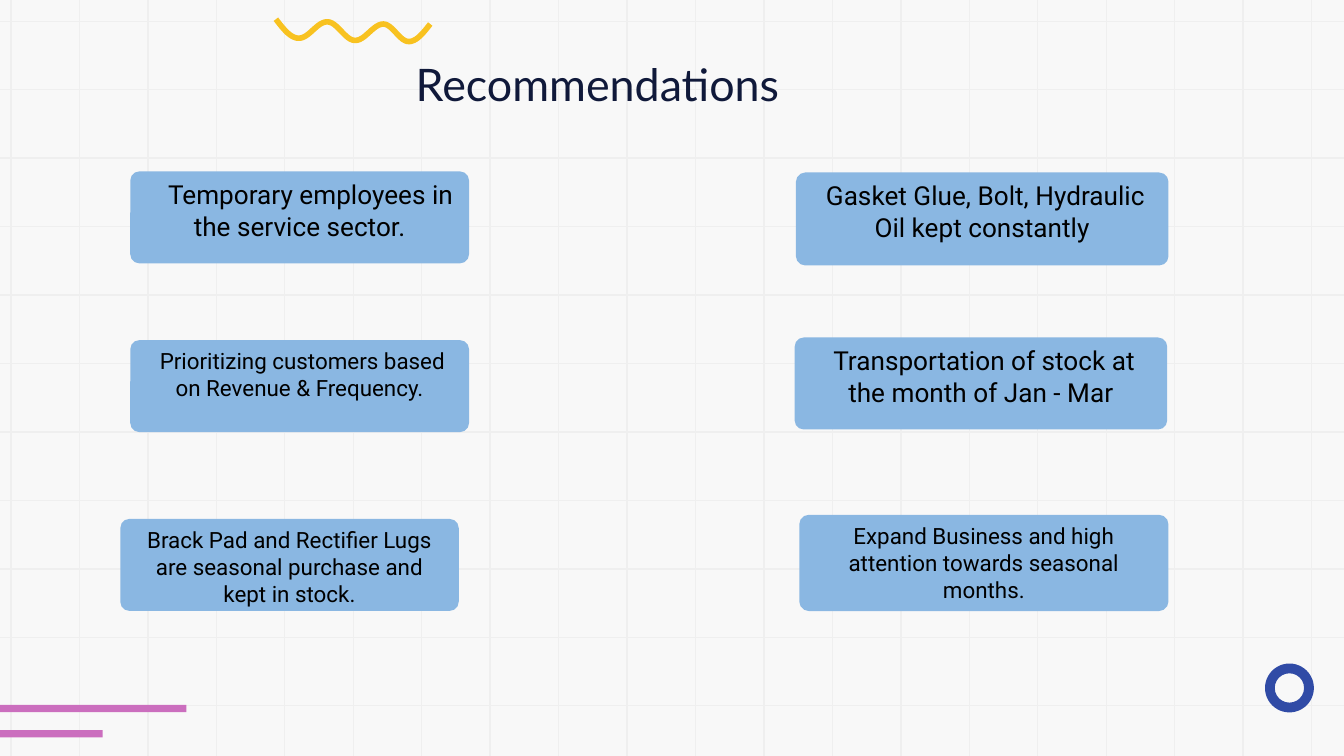
import math
from lxml import etree
from pptx import Presentation
from pptx.dml.color import RGBColor
from pptx.enum import shapes, text
from pptx.oxml import ns
from pptx.util import Pt

HUES = {"page": "F8F8F8", "grid": "EFEFEF", "pink": "CB6EBE", "blue": "304BA6",
        "gold": "F8C220", "title": "10193A", "card": "8AB7E2", "ink": "000000"}
WIDE, HIGH = 720, 405
KIND = shapes.MSO_SHAPE

# left, top, width, height, text size, first-line indent, wording
CARDS = [
    (69.8, 91.8, 181.5, 49.3, 14, 11.7, "Temporary employees in the service sector."),
    (426.4, 92.4, 199.6, 49.8, 14, 3.5, "Gasket Glue, Bolt, Hydraulic Oil kept constantly"),
    (69.8, 182.2, 181.5, 49.3, 12, 3, "Prioritizing customers based on Revenue & Frequency."),
    (425.7, 180.8, 199.6, 49.3, 14, 3.5, "Transportation of stock at the month of Jan - Mar"),
    (64.5, 278, 181.3, 49.3, 12, 0,
     "Brack Pad and Rectifier Lugs are seasonal purchase and kept in stock."),
    (428.2, 275.8, 197.8, 51.6, 12, 0,
     "Expand Business and high attention towards seasonal months."),
]


def hue(name):
    return RGBColor.from_string(HUES[name])


def plain(slide, kind, box, name):
    """Add a preset shape with a flat fill and no outline."""
    shape = slide.shapes.add_shape(kind, *map(Pt, box))
    shape.shadow.inherit = False
    shape.fill.solid()
    shape.fill.fore_color.rgb = hue(name)
    shape.line.fill.background()
    return shape


def rule(slide, *ends):
    line = slide.shapes.add_connector(shapes.MSO_CONNECTOR.STRAIGHT, *map(Pt, ends))
    line.line.color.rgb = hue("grid")
    line.line.width = Pt(0.75)
    etree.SubElement(line._element.spPr, ns.qn("a:effectLst"))


def grid(slide, left, top, step):
    for row in range(11):
        y = top + row * step
        rule(slide, 0, y, WIDE, y)
    for col in range(20):
        x = left + col * step
        rule(slide, x, 0, x, HIGH)


def wave(slide, left, top):
    """Draw a wavy stroke that eases between its turning points."""
    turns = [(0, 0), (12.3, 10.2), (27.5, 1.4), (42.5, 11.4),
             (57.6, 2.6), (71.2, 12), (82.7, 2.6)]
    last = len(turns) - 2
    dots = [turns[0]]
    for k, ((ax, ay), (bx, by)) in enumerate(zip(turns, turns[1:])):
        for n in range(1, 13):
            t = n / 12
            if k == 0:
                ease = math.sin(math.pi * t / 2)
            elif k == last:
                ease = 1 - math.cos(math.pi * t / 2)
            else:
                ease = (1 - math.cos(math.pi * t)) / 2
            dots.append((ax + (bx - ax) * t, ay + (by - ay) * ease))
    spots = [(Pt(left + x), Pt(top + y)) for x, y in dots]
    pen = slide.shapes.build_freeform(*spots[0])
    pen.add_line_segments(spots[1:], close=False)
    shape = pen.convert_to_shape()
    shape.shadow.inherit = False
    shape.fill.background()
    shape.line.color.rgb = hue("gold")
    shape.line.width = Pt(3)


def decor(slide):
    for top, width in ((377.6, 99.8), (391.1, 55)):
        plain(slide, KIND.RECTANGLE, (0, top, width, 4), "pink")
    ring = plain(slide, KIND.DONUT, (677.7, 355.5, 26.2, 26.2), "blue")
    ring.adjustments[0] = 0.2
    wave(slide, 147.8, 10.3)


def heading(slide, box, words):
    title = slide.shapes.title
    slide.shapes._spTree.append(title._element)
    title.left, title.top, title.width, title.height = map(Pt, box)
    frame = title.text_frame
    frame.text = words
    frame.word_wrap = False
    frame.auto_size = text.MSO_AUTO_SIZE.NONE
    frame.vertical_anchor = text.MSO_ANCHOR.MIDDLE
    para = frame.paragraphs[0]
    para.alignment = text.PP_ALIGN.LEFT
    style(para, "Lato", 24, "title")


def style(para, face, size, name):
    para.font.name = face
    para.font.size = Pt(size)
    para.font.color.rgb = hue(name)


def card(slide, box, size, indent, words):
    shape = plain(slide, KIND.ROUNDED_RECTANGLE, box, "card")
    shape.adjustments[0] = 0.1
    frame = shape.text_frame
    frame.word_wrap = True
    frame.vertical_anchor = text.MSO_ANCHOR.TOP
    frame.margin_left = frame.margin_right = Pt(6)
    frame.margin_top = frame.margin_bottom = Pt(2.5)
    frame.text = words
    para = frame.paragraphs[0]
    para.alignment = text.PP_ALIGN.CENTER
    para._p.get_or_add_pPr().set("indent", str(Pt(indent)))
    style(para, "Roboto", size, "ink")


def main():
    deck = Presentation()
    deck.slide_width, deck.slide_height = Pt(WIDE), Pt(HIGH)
    slide = deck.slides.add_slide(deck.slide_layouts[5])
    back = slide.background.fill
    back.solid()
    back.fore_color.rgb = hue("page")
    grid(slide, 5.9, 11.4, 36.67)
    decor(slide)
    heading(slide, (215.5, 26.8, 230.4, 36), "Recommendations")
    for *box, size, indent, words in CARDS:
        card(slide, box, size, indent, words)
    deck.save("out.pptx")


if __name__ == "__main__":
    main()
